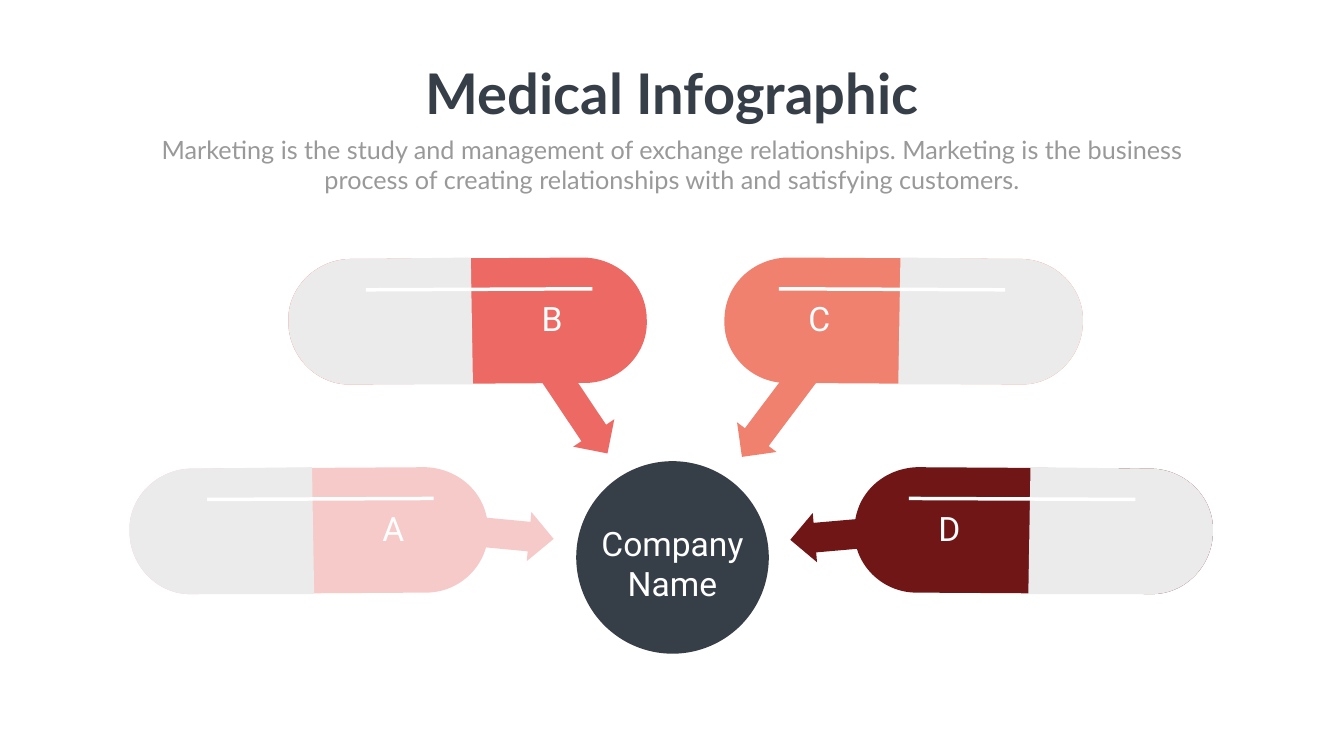
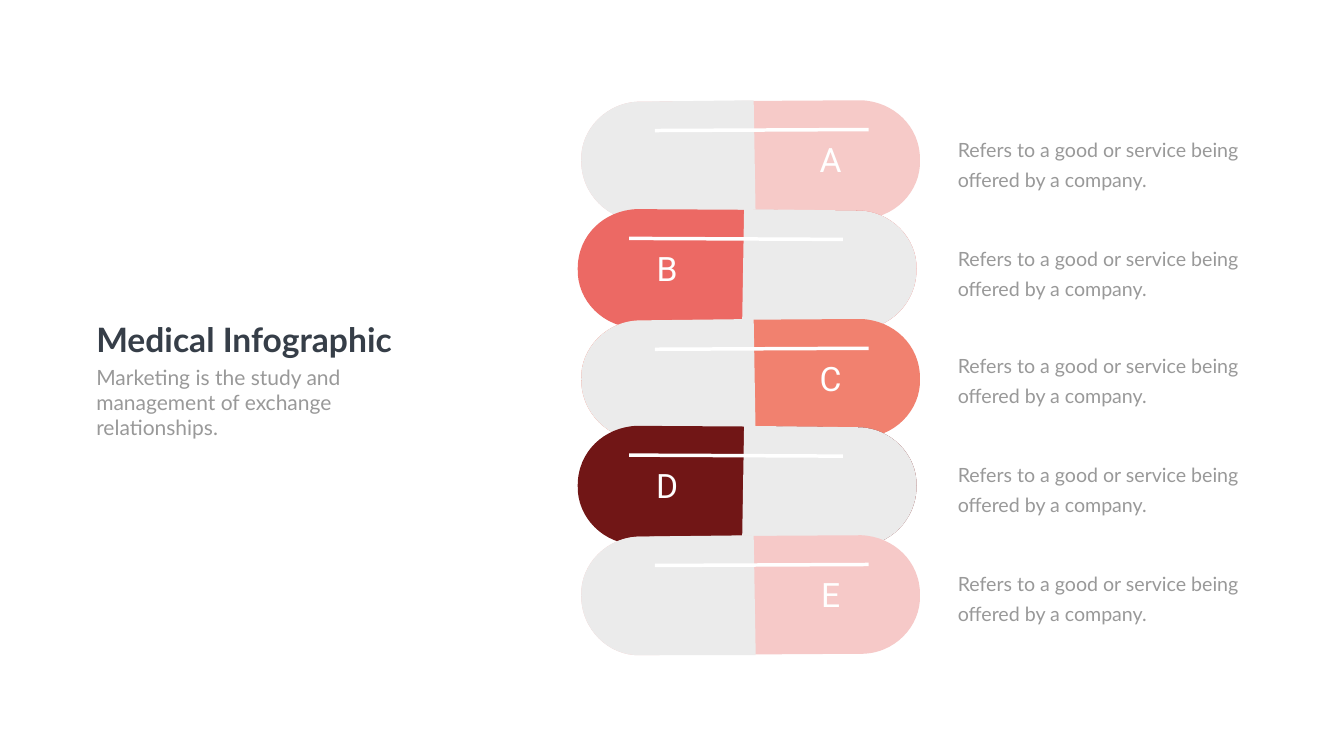
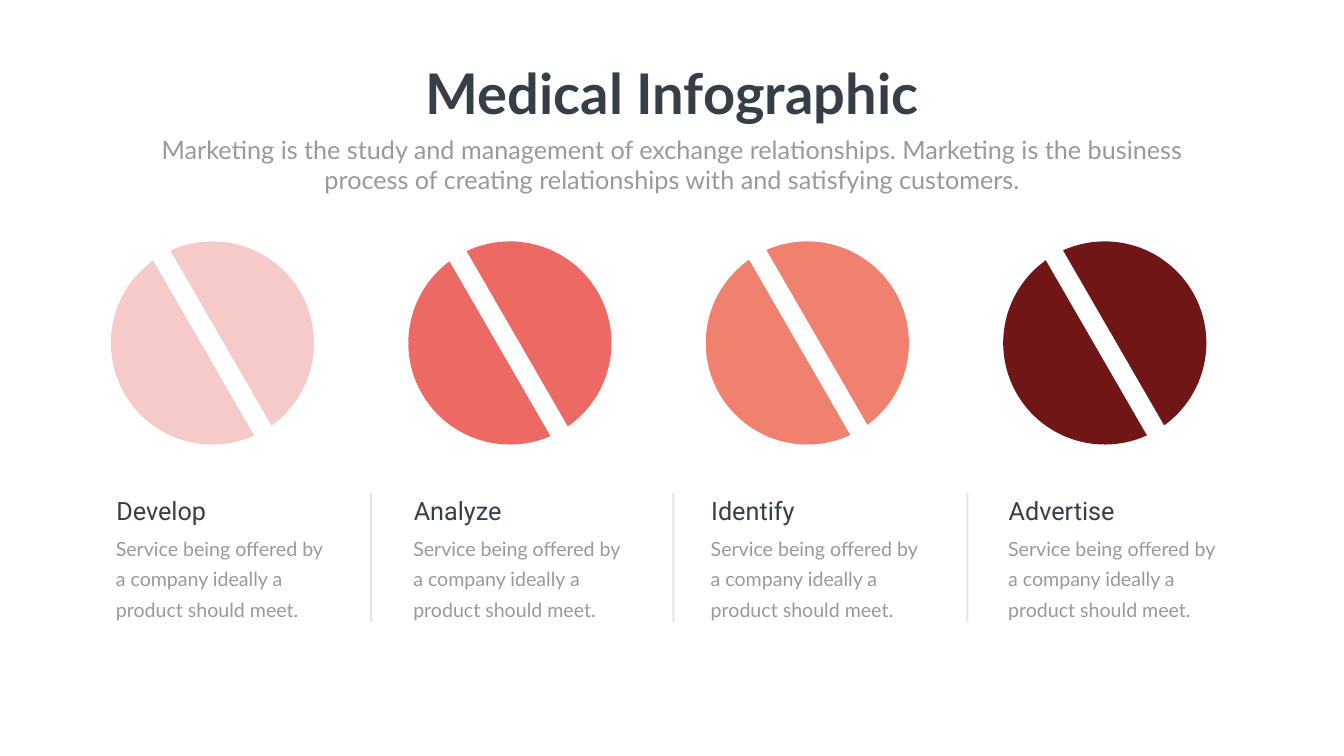
import math
import pptx
import pptx.dml.color
import pptx.enum.shapes
import pptx.enum.text
import pptx.oxml
import pptx.oxml.ns
import pptx.util

BLUSH, CORAL, SALMON, WINE = "F6CAC8", "EC6964", "F1816F", "711616"
DARK, GREY, PALE, WHITE = "363E48", "999999", "EBEBEB", "FFFFFF"
LEFT = pptx.enum.text.PP_ALIGN.LEFT
CENTER = pptx.enum.text.PP_ALIGN.CENTER
SHAPES = pptx.enum.shapes.MSO_SHAPE
STRAIGHT = pptx.enum.shapes.MSO_CONNECTOR.STRAIGHT

cell = pptx.util.Inches(0.01)
deck = pptx.Presentation()
deck.slide_width, deck.slide_height = cell * 2666, cell * 1500


def paint(item, colour, line_width=None):
    rgb = pptx.dml.color.RGBColor.from_string(colour)
    if line_width:
        item.line.color.rgb = rgb
        item.line.width = pptx.util.Pt(line_width)
        properties = item._element.spPr
        properties.append(properties.makeelement(pptx.oxml.ns.qn("a:effectLst")))
    else:
        item.fill.solid()
        item.fill.fore_color.rgb = rgb
        item.line.fill.background()
        item.shadow.inherit = False


def write(page, area, text, size, font, colour, align=LEFT, slot=None, leading=None, inset=10):
    area = [cell * n for n in area]
    if slot is None:
        box = page.shapes.add_textbox(*area)
    else:
        box = page.placeholders[slot]
        box.left, box.top, box.width, box.height = area
    frame = box.text_frame
    frame.word_wrap = True
    frame.auto_size = pptx.enum.text.MSO_AUTO_SIZE.NONE
    frame.vertical_anchor = pptx.enum.text.MSO_ANCHOR.TOP
    frame.margin_left = frame.margin_right = cell * inset
    frame.margin_top = frame.margin_bottom = cell * inset // 2
    para = frame.paragraphs[0]
    if slot == 1:
        properties = para._p.get_or_add_pPr()
        properties.set("marL", "0")
        properties.set("indent", "0")
        properties.append(properties.makeelement(pptx.oxml.ns.qn("a:buNone")))
    para.alignment = align
    para.space_before = pptx.util.Pt(0)
    if leading:
        para.line_spacing = pptx.util.Pt(leading)
    span = para.add_run()
    span.text = text
    span.font.name = font
    span.font.size = pptx.util.Pt(size)
    span.font.bold = slot == 0
    span.font.color.rgb = pptx.dml.color.RGBColor.from_string(colour)


hub, stack, tablets = [deck.slides.add_slide(deck.slide_layouts[1]) for _ in range(3)]

heading = "Medical Infographic"
short_intro = "Marketing is the study and management of exchange relationships."
long_intro = short_intro + " Marketing is the business process of creating relationships with and satisfying customers."
for page in (hub, tablets):
    write(page, (824, 112, 1019, 145), heading, 80, "Lato", DARK, CENTER, slot=0)
    write(page, (292, 261, 2082, 131), long_intro, 36, "Lato", GREY, CENTER, slot=1)
write(stack, (181, 627, 715, 91), heading, 48, "Lato", DARK, slot=0)
write(stack, (181, 718, 596, 162), short_intro, 30, "Lato", GREY, slot=1)

for left, top, length, angle, colour in [
    (754, 1004, 345, 185.4, BLUSH),
    (1418, 750, 269, 306.9, SALMON),
    (1009, 746, 252, 236.2, CORAL),
    (1567, 1007, 344, 355, WINE),
]:
    arrow = hub.shapes.add_shape(SHAPES.LEFT_ARROW, cell * left, cell * top, cell * length, cell * 98)
    arrow.adjustments[0], arrow.adjustments[1] = 0.6, 0.5
    arrow.rotation = angle
    paint(arrow, colour)

circle = hub.shapes.add_shape(SHAPES.OVAL, cell * 1143, cell * 915, cell * 382, cell * 382)
paint(circle, DARK)
write(hub, (1152, 1032, 364, 148), "Company Name", 48, "Roboto", WHITE, CENTER)

pills = [
    (hub, 1437, 511, 711, True, "C", SALMON),
    (hub, 572, 511, 711, False, "B", CORAL),
    (hub, 257, 927, 711, False, "A", BLUSH),
    (hub, 1695, 927, 711, True, "D", WINE),
]
for index, (letter, colour, pill_top, text_top) in enumerate(zip(
        "ABCDE", (BLUSH, CORAL, SALMON, WINE, "F6C9C8"),
        (199, 415, 633, 845, 1062), (249, 465, 677, 894, 1110))):
    mirrored = index % 2 == 1
    pills.append((stack, 1146 if mirrored else 1153, pill_top, 672, mirrored, letter, colour))
    write(stack, (1876, text_top, 705, 139), "Refers to a good or service being offered by a company.",
          28, "Lato", GREY, leading=43, inset=24)

whole_outline = [
    (82.3, 35),
    (17.3, 35.4), (17.3, 35.4), (17.3, 35.4),
    (8.2, 35.7), (-0.1, 27.8), (0, 17.7),
    (-0.3, 8.6), (7.6, 0.3), (17.7, 0.4),
    (82.7, 0), (82.7, 0), (82.7, 0),
    (92.1, 0.4), (100.1, 7.6), (100, 17.7),
    (100.3, 26.9), (92.4, 35.2), (82.3, 35),
]
blank_outline = [
    (50.9, 0),
    (17.7, 0.4), (17.7, 0.4), (17.7, 0.4),
    (7.6, 0.3), (-0.3, 8.6), (0, 17.7),
    (-0.1, 27.8), (8.2, 35.7), (17.3, 35.4),
    (51.5, 35.4), (51.5, 35.4), (51.5, 35.4),
]

for page, left, top, width, mirrored, letter, colour in pills:
    tilt = 20.1 if mirrored else -20.1
    cos, sin = math.cos(math.radians(tilt)), math.sin(math.radians(tilt))
    center_x, center_y = cell * (left + width * 0.5), cell * (top + width * 0.18)
    for outline, hue in [(whole_outline, colour), (blank_outline, PALE)]:
        points = []
        for x, y in outline:
            across = cell * (left + width * (100 - x if mirrored else x) / 100) - center_x
            down = cell * (top + width * y / 100) - center_y
            points.append((center_x + across * cos + down * sin, center_y + down * cos - across * sin))
        builder = page.shapes.build_freeform(*points[0], scale=1.0)
        builder.add_line_segments(points[1:], close=True)
        half = builder.convert_to_shape()
        corners = list(half._element.iter(pptx.oxml.ns.qn("a:lnTo")))
        for first, second, third in zip(corners[::3], corners[1::3], corners[2::3]):
            curve = first.makeelement(pptx.oxml.ns.qn("a:cubicBezTo"))
            first.addprevious(curve)
            for corner in (first, second, third):
                curve.append(corner[0])
                corner.getparent().remove(corner)
        across = half.left + half.width / 2 - center_x
        down = half.top + half.height / 2 - center_y
        half.left = round(center_x + across * cos - down * sin - half.width / 2)
        half.top = round(center_y + down * cos + across * sin - half.height / 2)
        half.rotation = tilt % 360
        paint(half, hue)
    start, end = [cell * (left + round(width * (100 - x if mirrored else x) / 100)) for x in (21.7, 84.8)]
    shine_top = top + round(width * 0.09)
    shine = page.shapes.add_connector(STRAIGHT, start, cell * shine_top, end, cell * (shine_top - 2))
    paint(shine, WHITE, 5)
    letter_left = left + round(width * (17.1 if mirrored else 64.3) / 100)
    letter_top = top + round(width * 10.7 / 100)
    write(page, (letter_left, letter_top, round(width * 18.6 / 100), 91), letter, 48, "Roboto", WHITE, CENTER)

steps = ["Develop", "Analyze", "Identify", "Advertise"]
for index, (step, colour, step_width, groove_left) in enumerate(zip(
        steps, (BLUSH, CORAL, SALMON, WINE), (313, 371, 466, 305), (197, 784, 1380, 1968))):
    left = 220 + 590 * index
    tablet = tablets.shapes.add_shape(SHAPES.OVAL, cell * left, cell * 479, cell * 403, cell * 403)
    paint(tablet, colour)
    groove = tablets.shapes.add_shape(
        SHAPES.ROUNDED_RECTANGLE, cell * groove_left, cell * 661, cell * 448, cell * 39)
    groove.adjustments[0] = 0.5
    groove.rotation = 60
    paint(groove, WHITE)
    write(tablets, (left + 1, 978, step_width, 71), step, 36, "Roboto", DARK)
    write(tablets, (left, 1048, 457, 186), "Service being offered by a company ideally a product should meet.",
          28, "Lato", GREY, leading=43)

for x in (736, 1336, 1919):
    divider = tablets.shapes.add_connector(STRAIGHT, cell * x, cell * 978, cell * x, cell * 1234)
    paint(divider, "808080", 3)
    tint = divider._element.spPr.find(".//" + pptx.oxml.ns.qn("a:srgbClr"))
    tint.append(tint.makeelement(pptx.oxml.ns.qn("a:alpha"), {"val": "20000"}))

deck.save("out.pptx")
